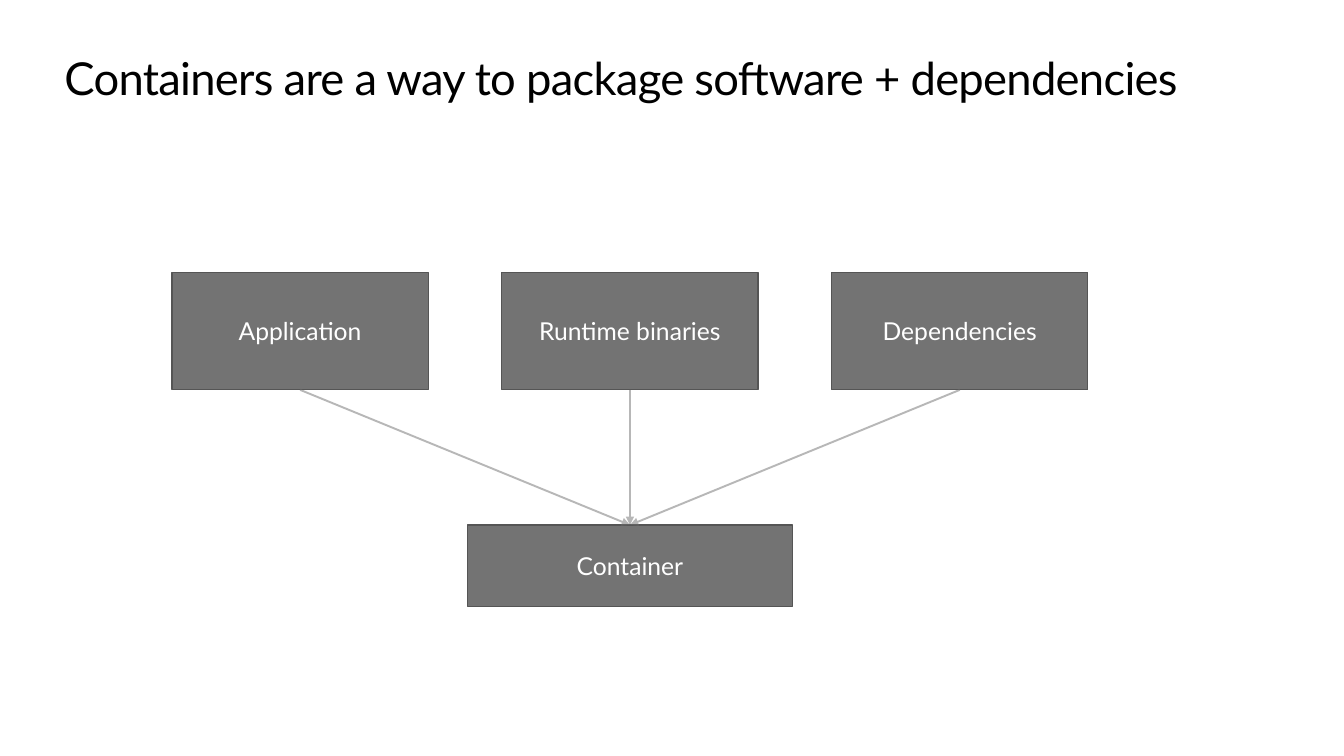
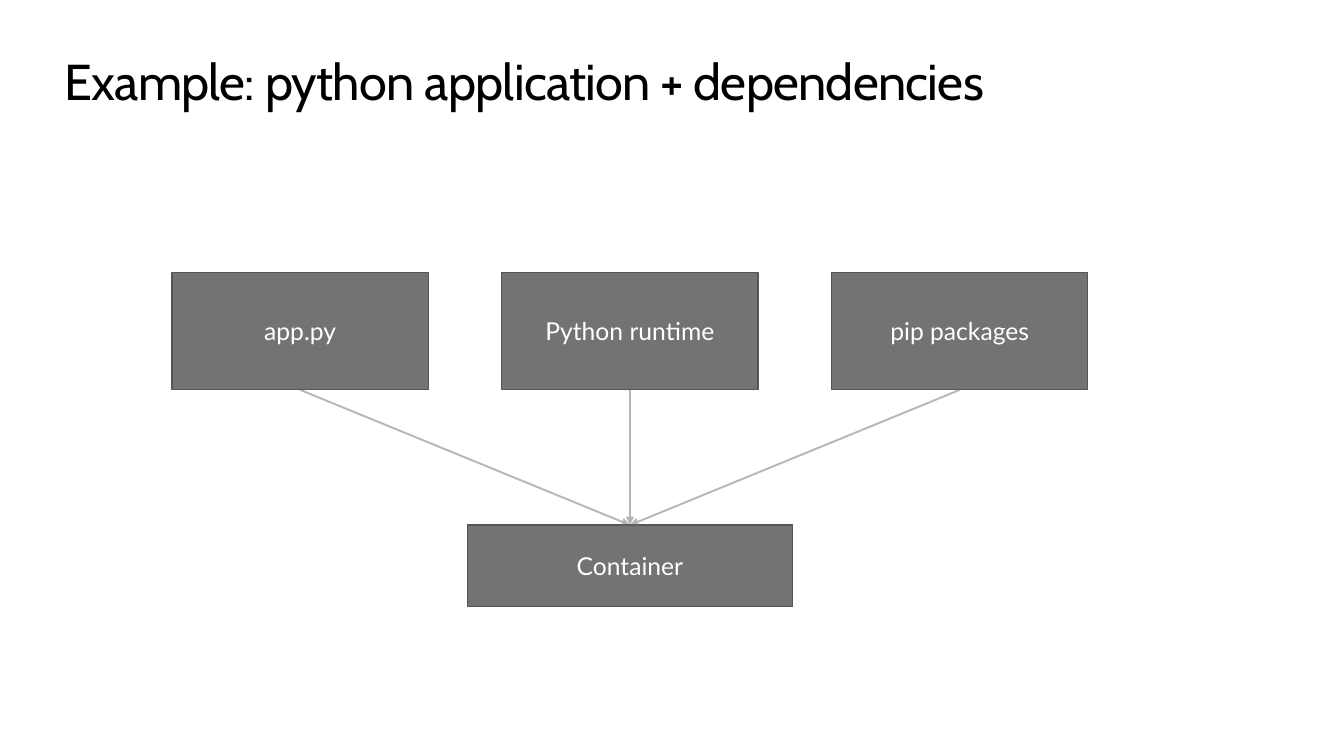
from dataclasses import dataclass

from lxml import etree
from pptx import Presentation
from pptx.dml.color import RGBColor
from pptx.enum.shapes import MSO_CONNECTOR, MSO_SHAPE
from pptx.enum.text import MSO_ANCHOR, PP_ALIGN
from pptx.oxml.ns import qn
from pptx.util import Pt

RECTANGLE = MSO_SHAPE.RECTANGLE
STRAIGHT = MSO_CONNECTOR.STRAIGHT
LEFT, CENTER = PP_ALIGN.LEFT, PP_ALIGN.CENTER
TOP, MIDDLE = MSO_ANCHOR.TOP, MSO_ANCHOR.MIDDLE
TOP_SITE, BOTTOM_SITE = 0, 2

SLIDES = [
    {
        "title": "Containers are a way to package software + dependencies",
        "title_font": "Lato",
        "title_size": 32.4,
        "parts": ["Application", "Runtime binaries", "Dependencies"],
        "result": "Container",
    },
    {
        "title": "Example: python application + dependencies",
        "title_font": "Cabin",
        "title_size": 36,
        "parts": ["app.py", "Python runtime", "pip packages"],
        "result": "Container",
    },
]


@dataclass(frozen=True)
class Theme:
    title_color: str = "000000"
    box_fill: str = "737373"
    box_line: str = "555555"
    box_text: str = "FFFFFF"
    arrow: str = "707070"
    arrow_opacity: int = 50
    box_font: str = "Lato"
    box_size: float = 17.6
    box_line_width: float = 0.85
    arrow_width: float = 1.35
    title_tracking: float = -0.5


THEME = Theme()

SLIDE_WIDTH, SLIDE_HEIGHT = 960, 540
TITLE_AREA = (46, 36, 868, 44)
DIAGRAM_CENTER = 450
PART_TOP, PART_WIDTH, PART_HEIGHT, PART_PITCH = 194.5, 183, 84, 235.6
RESULT_TOP, RESULT_WIDTH, RESULT_HEIGHT = 375, 232, 58


def write(shape, text, *, font, size, color, align=LEFT, anchor=TOP, tracking=0, margin=None):
    frame = shape.text_frame
    frame.word_wrap = True
    frame.vertical_anchor = anchor
    if margin is not None:
        frame.margin_left = frame.margin_right = Pt(margin)
        frame.margin_top = frame.margin_bottom = Pt(margin)
    para = frame.paragraphs[0]
    para.alignment = align
    span = para.add_run()
    span.text = text
    span.font.name = font
    span.font.size = Pt(size)
    span.font.color.rgb = RGBColor.from_string(color)
    if tracking:
        span.font._element.set("spc", str(round(tracking * 100)))


def add_title(page, text, font, size):
    box = page.shapes.add_textbox(*map(Pt, TITLE_AREA))
    write(box, text, font=font, size=size, color=THEME.title_color,
          tracking=THEME.title_tracking, margin=0)


def add_box(shapes, text, center, top, width, height):
    box = shapes.add_shape(RECTANGLE, Pt(center - width / 2), Pt(top), Pt(width), Pt(height))
    box.shadow.inherit = False
    box.fill.solid()
    box.fill.fore_color.rgb = RGBColor.from_string(THEME.box_fill)
    box.line.color.rgb = RGBColor.from_string(THEME.box_line)
    box.line.width = Pt(THEME.box_line_width)
    write(box, text, font=THEME.box_font, size=THEME.box_size, color=THEME.box_text,
          align=CENTER, anchor=MIDDLE)
    return box


def add_arrow(shapes, source, target):
    """Join the bottom of source to the top of target."""
    arrow = shapes.add_connector(STRAIGHT, source.left, source.top, target.left, target.top)
    arrow.begin_connect(source, BOTTOM_SITE)
    arrow.end_connect(target, TOP_SITE)
    arrow.line.width = Pt(THEME.arrow_width)
    arrow.line.color.rgb = RGBColor.from_string(THEME.arrow)
    properties = arrow._element.spPr
    color = properties.find(".//" + qn("a:srgbClr"))
    etree.SubElement(color, qn("a:alpha"), val=str(THEME.arrow_opacity * 1000))
    etree.SubElement(properties.find(qn("a:ln")), qn("a:tailEnd"), type="triangle")
    etree.SubElement(properties, qn("a:effectLst"))


def add_diagram(page, parts, result):
    shapes = page.shapes.add_group_shape().shapes
    target = add_box(shapes, result, DIAGRAM_CENTER, RESULT_TOP, RESULT_WIDTH, RESULT_HEIGHT)
    first_center = DIAGRAM_CENTER - PART_PITCH * (len(parts) - 1) / 2
    sources = [
        add_box(shapes, part, first_center + index * PART_PITCH,
                PART_TOP, PART_WIDTH, PART_HEIGHT)
        for index, part in enumerate(parts)
    ]
    for source in sources:
        add_arrow(shapes, source, target)


def main():
    deck = Presentation()
    deck.slide_width, deck.slide_height = Pt(SLIDE_WIDTH), Pt(SLIDE_HEIGHT)
    blank = deck.slide_layouts[6]
    for content in SLIDES:
        page = deck.slides.add_slide(blank)
        add_title(page, content["title"], content["title_font"], content["title_size"])
        add_diagram(page, content["parts"], content["result"])
    deck.save("out.pptx")


if __name__ == "__main__":
    main()
